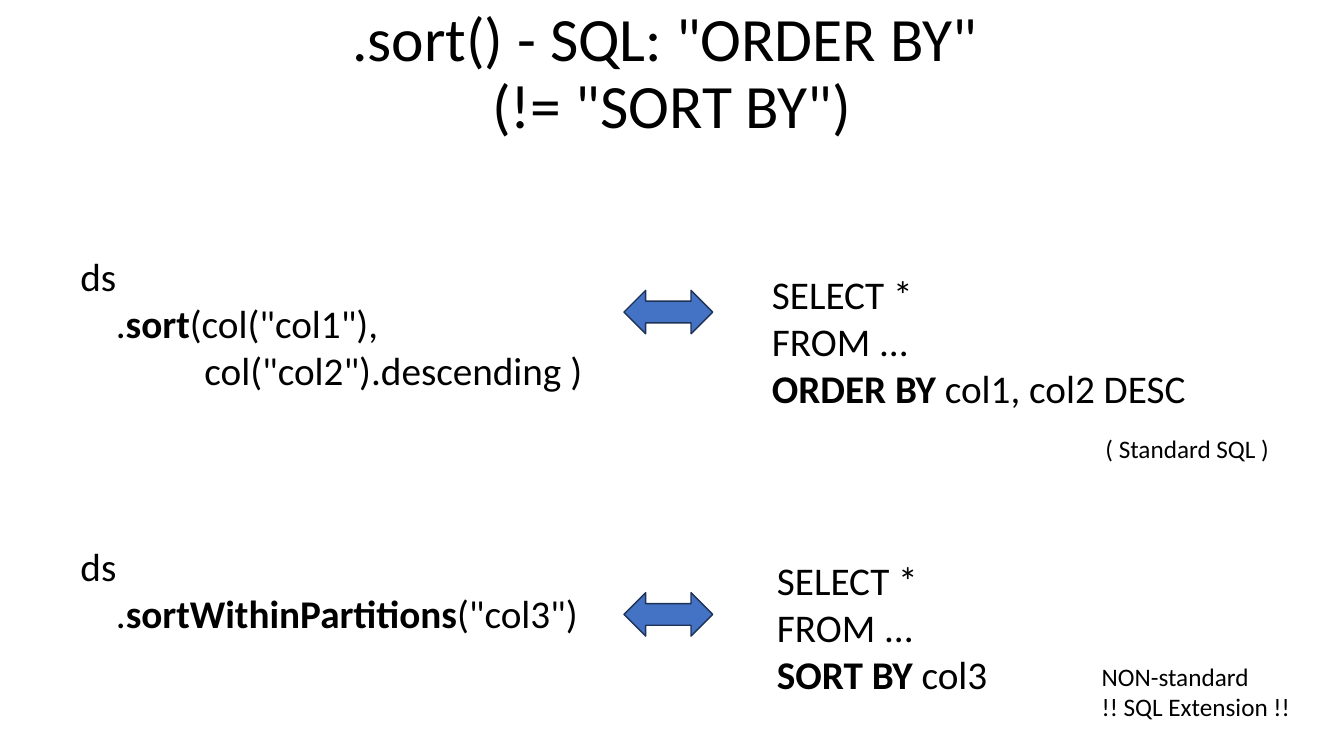
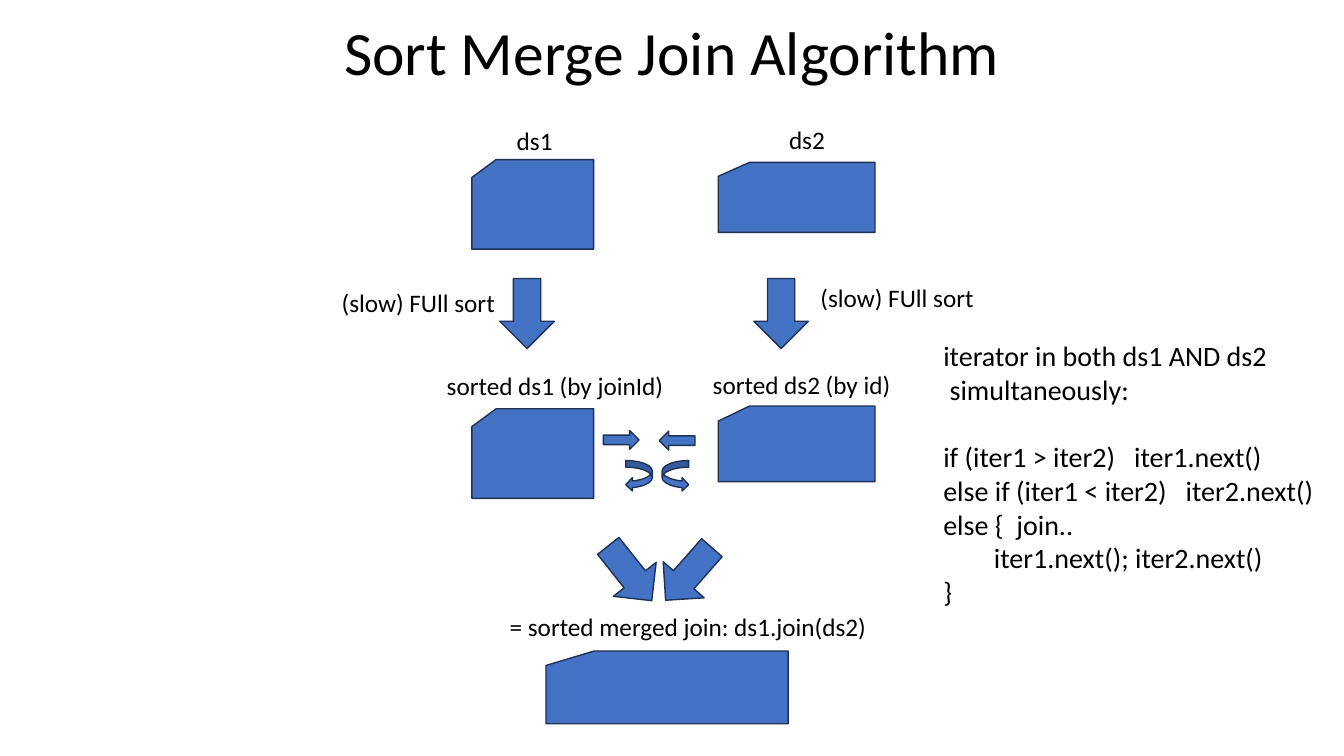
from dataclasses import dataclass

from pptx import Presentation
from pptx.dml.color import RGBColor
from pptx.enum.shapes import MSO_SHAPE
from pptx.enum.text import MSO_ANCHOR, MSO_AUTO_SIZE, PP_ALIGN
from pptx.presentation import Presentation as Deck
from pptx.slide import Slide
from pptx.text.text import TextFrame
from pptx.util import Pt


@dataclass(frozen=True)
class Theme:
    font: str = "Calibri"
    ink: RGBColor = RGBColor(0, 0, 0)
    fill: RGBColor = RGBColor(0x44, 0x72, 0xC4)
    edge: RGBColor = RGBColor(0x1E, 0x32, 0x56)
    title: int = 44
    code: int = 28
    steps: int = 20
    label: int = 18


@dataclass(frozen=True)
class Box:
    left: float
    top: float
    width: float
    height: float


@dataclass(frozen=True)
class Line:
    text: str
    before: float = 0
    indent: float = 0


@dataclass(frozen=True)
class Note:
    box: Box
    lines: list[Line]
    size: int


@dataclass(frozen=True)
class Form:
    kind: MSO_SHAPE
    box: Box
    turn: float = 0
    flip: bool = False


THEME = Theme()
BOLD_MARK = "|"


def add_text(slide: Slide, box: Box) -> TextFrame:
    shape = slide.shapes.add_textbox(
        Pt(box.left), Pt(box.top), Pt(box.width), Pt(box.height)
    )
    return shape.text_frame


def style_runs(frame: TextFrame, size: int) -> None:
    for para in frame.paragraphs:
        for run in para.runs:
            run.font.name = THEME.font
            run.font.size = Pt(size)
            run.font.color.rgb = THEME.ink


def draw_title(slide: Slide, text: str, height: float) -> None:
    frame = add_text(slide, Box(66, 7, 828, height))
    frame.word_wrap = True
    frame.vertical_anchor = MSO_ANCHOR.MIDDLE
    para = frame.paragraphs[0]
    para.text = text
    para.alignment = PP_ALIGN.CENTER
    para.line_spacing = 0.9
    style_runs(frame, THEME.title)


def draw_note(slide: Slide, note: Note) -> None:
    frame = add_text(slide, note.box)
    frame.word_wrap = False
    frame.auto_size = MSO_AUTO_SIZE.SHAPE_TO_FIT_TEXT
    frame.text = "\n".join(line.text for line in note.lines)
    for para, line in zip(frame.paragraphs, note.lines):
        if BOLD_MARK in line.text:
            parts = line.text.split(BOLD_MARK)
            para.text = parts[0]
            for index, part in enumerate(parts[1:], 1):
                if part:
                    run = para.add_run()
                    run.text = part
                    run.font.bold = index % 2 == 1
        if line.before:
            para.space_before = Pt(line.before)
        if line.indent:
            props = para._p.get_or_add_pPr()
            props.set("marL", str(Pt(line.indent)))
    style_runs(frame, note.size)


def draw_form(slide: Slide, form: Form) -> None:
    box = form.box
    shape = slide.shapes.add_shape(
        form.kind, Pt(box.left), Pt(box.top), Pt(box.width), Pt(box.height)
    )
    shape.shadow.inherit = False
    shape.fill.solid()
    shape.fill.fore_color.rgb = THEME.fill
    shape.line.color.rgb = THEME.edge
    shape.line.width = Pt(1)
    shape.rotation = form.turn
    if form.flip:
        shape.element.spPr.xfrm.set("flipH", "1")


def code(box: Box, *lines: str) -> Note:
    return Note(box, [Line(line) for line in lines], THEME.code)


def label(left: float, top: float, width: float, *lines: str) -> Note:
    height = 7 + 22 * len(lines)
    return Note(
        Box(left, top, width, height), [Line(line) for line in lines], THEME.label
    )


def add_slide(
    deck: Deck, title: str, height: float, forms: list[Form], notes: list[Note]
) -> None:
    slide = deck.slides.add_slide(deck.slide_layouts[6])
    draw_title(slide, title, height)
    for form in forms:
        draw_form(slide, form)
    for note in notes:
        draw_note(slide, note)


def add_sort(deck: Deck) -> None:
    forms = [
        Form(MSO_SHAPE.LEFT_RIGHT_ARROW, Box(445.7, top, 63.4, 31))
        for top in (207.4, 423.4)
    ]
    notes = [
        code(
            Box(50.4, 176.4, 384.5, 108.7),
            "ds",
            "    .|sort|(col(\"col1\"),",
            "              col(\"col2\").descending )",
        ),
        code(
            Box(544.3, 189.4, 313.2, 108.7),
            "SELECT *",
            "FROM ...",
            "|ORDER BY |col1, col2 DESC",
        ),
        code(
            Box(50.4, 383.8, 389.5, 74.9),
            "ds",
            "    .|sortWithinPartitions|(\"col3\")",
        ),
        code(
            Box(547.9, 393.8, 166.3, 108.7),
            "SELECT *",
            "FROM ...",
            "|SORT BY |col3",
        ),
        label(779.8, 468.7, 150.5, "NON-standard", "!! SQL Extension !!"),
        label(782.6, 306, 136.8, "( Standard SQL )"),
    ]
    title = ".sort() - SQL: \"ORDER BY\" \v(!= \"SORT BY\")"
    add_slide(deck, title, 93, forms, notes)


def add_merge(deck: Deck) -> None:
    cards = [
        Box(337, 114, 87, 64),
        Box(513, 116, 112, 50),
        Box(337, 292, 87, 64),
        Box(513, 290, 112, 54),
        Box(390, 465, 173, 52),
    ]
    forms = [Form(MSO_SHAPE.FLOWCHART_CARD, box) for box in cards]
    downs = [(357, 199, 0), (538.5, 199, 0), (430.5, 384.5, 321.5), (472.5, 385, 41.4)]
    forms += [
        Form(MSO_SHAPE.DOWN_ARROW, Box(left, top, 39, 50), turn)
        for left, top, turn in downs
    ]
    forms += [
        Form(MSO_SHAPE.RIGHT_ARROW, Box(431, 307.5, 25.5, 13.5)),
        Form(MSO_SHAPE.RIGHT_ARROW, Box(471, 308, 25.5, 13.5), flip=True),
        Form(MSO_SHAPE.CURVED_LEFT_ARROW, Box(447, 329, 19, 22)),
        Form(MSO_SHAPE.CURVED_LEFT_ARROW, Box(473, 329, 19, 22), flip=True),
    ]
    steps = [
        Line("iterator in both ds1 AND ds2"),
        Line("simultaneously:", indent=4.5),
        Line("if (iter1 > iter2)   iter1.next()", before=24.4),
        Line("else if (iter1 < iter2)   iter2.next()"),
        Line("else {  join.."),
        Line("        iter1.next(); iter2.next()"),
        Line("}"),
    ]
    notes = [
        label(362, 86, 40, "ds1"),
        label(556.5, 85, 40, "ds2"),
        label(312, 261, 171, "sorted ds1 (by joinId)"),
        label(502, 260, 143, "sorted ds2 (by id)"),
        label(357, 433, 272, "= sorted merged join: ds1.join(ds2)"),
        label(237, 201.5, 125, "(slow) FUll sort"),
        label(579, 198, 125, "(slow) FUll sort"),
        Note(Box(666.7, 238.3, 281.5, 225.4), steps, THEME.steps),
    ]
    add_slide(deck, "Sort Merge Join Algorithm", 65, forms, notes)


def main() -> None:
    deck = Presentation()
    deck.slide_width = Pt(960)
    deck.slide_height = Pt(540)
    add_sort(deck)
    add_merge(deck)
    deck.save("out.pptx")


if __name__ == "__main__":
    main()
